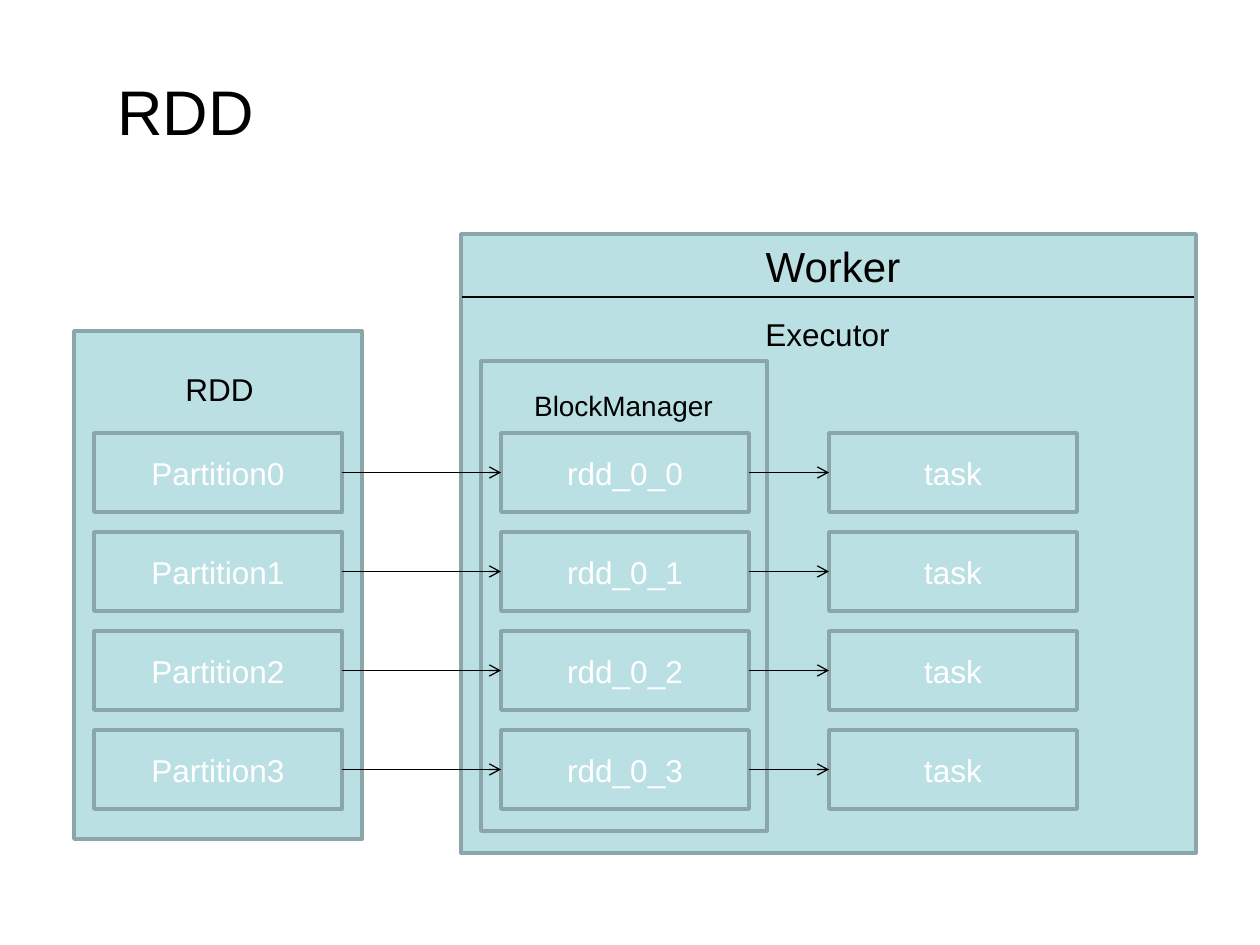
from dataclasses import dataclass

from lxml.etree import SubElement
from pptx import Presentation
from pptx.dml.color import RGBColor
from pptx.enum.shapes import MSO_CONNECTOR, MSO_SHAPE
from pptx.enum.text import MSO_ANCHOR, MSO_AUTO_SIZE, PP_ALIGN
from pptx.oxml.ns import qn
from pptx.util import Emu, Pt

PX_PER_INCH = 126
RIGHT_SIDE, LEFT_SIDE = 3, 1


@dataclass(frozen=True)
class Theme:
    font: str = "Arial"
    fill: RGBColor = RGBColor(0xBB, 0xE0, 0xE3)
    border: RGBColor = RGBColor(0x8A, 0xA6, 0xA8)
    dark: RGBColor = RGBColor(0, 0, 0)
    light: RGBColor = RGBColor(255, 255, 255)
    border_width: float = 2
    line_width: float = 0.75
    title: int = 36
    heading: int = 24
    body: int = 18
    small: int = 16


def px(length):
    return Emu(round(length * 914400 / PX_PER_INCH))


def apply_format(target, values):
    for name, value in values.items():
        setattr(target, name, value)


class SlideBuilder:
    def __init__(self, slide, theme):
        self.slide = slide
        self.theme = theme

    def set_text(self, shape, text, size, color, align, anchor):
        frame = shape.text_frame
        apply_format(frame, {"word_wrap": True, "vertical_anchor": anchor})
        paragraph = frame.paragraphs[0]
        paragraph.alignment = align
        run = paragraph.add_run()
        run.text = text
        apply_format(run.font, {"name": self.theme.font, "size": Pt(size)})
        run.font.color.rgb = color

    def label(self, bounds, text, size, align=PP_ALIGN.CENTER):
        shape = self.slide.shapes.add_textbox(*map(px, bounds))
        self.set_text(shape, text, size, self.theme.dark, align, MSO_ANCHOR.TOP)
        shape.text_frame.auto_size = MSO_AUTO_SIZE.SHAPE_TO_FIT_TEXT

    def box(self, bounds, text=None):
        shape = self.slide.shapes.add_shape(MSO_SHAPE.RECTANGLE, *map(px, bounds))
        shape.shadow.inherit = False
        shape.fill.solid()
        shape.fill.fore_color.rgb = self.theme.fill
        shape.line.color.rgb = self.theme.border
        shape.line.width = Pt(self.theme.border_width)
        if text:
            self.set_text(shape, text, self.theme.body, self.theme.light,
                          PP_ALIGN.CENTER, MSO_ANCHOR.MIDDLE)
        return shape

    def line(self, start=(0, 0), end=(0, 0)):
        connector = self.slide.shapes.add_connector(
            MSO_CONNECTOR.STRAIGHT, *map(px, (*start, *end)))
        connector.line.color.rgb = self.theme.dark
        connector.line.width = Pt(self.theme.line_width)
        SubElement(connector._element.spPr, qn("a:effectLst"))
        return connector

    def arrow(self, source, target):
        connector = self.line()
        connector.begin_connect(source, RIGHT_SIDE)
        connector.end_connect(target, LEFT_SIDE)
        line_element = connector._element.spPr.find(qn("a:ln"))
        SubElement(line_element, qn("a:tailEnd"), type="arrow")


def main():
    presentation = Presentation()
    presentation.slide_width, presentation.slide_height = px(1260), px(945)
    slide = presentation.slides.add_slide(presentation.slide_layouts[6])
    theme = Theme()
    builder = SlideBuilder(slide, theme)

    # Title
    builder.label((105, 66, 478, 88), "RDD", theme.title, PP_ALIGN.LEFT)

    # Containers: worker, RDD, block manager
    for bounds in ((461, 234, 735, 619), (74, 331, 288, 508), (481, 361, 286, 470)):
        builder.box(bounds)
    builder.line((462, 297), (1194, 297))

    # Container headings
    builder.label((670, 234, 326, 63), "Worker", theme.heading)
    builder.label((689, 309, 277, 50), "Executor", theme.body)
    builder.label((509, 382, 229, 47), "BlockManager", theme.small)
    builder.label((146, 364, 147, 50), "RDD", theme.body)

    # One row per partition: partition, cached block, task
    columns = ((94, "Partition{}"), (501, "rdd_0_{}"), (829, "task"))
    first_row, row_pitch = 433, 99
    for index in range(4):
        top = first_row + index * row_pitch
        partition, block, task = [
            builder.box((left, top, 248, 79), name.format(index))
            for left, name in columns]
        builder.arrow(partition, block)
        builder.arrow(block, task)

    presentation.save("out.pptx")


if __name__ == "__main__":
    main()
